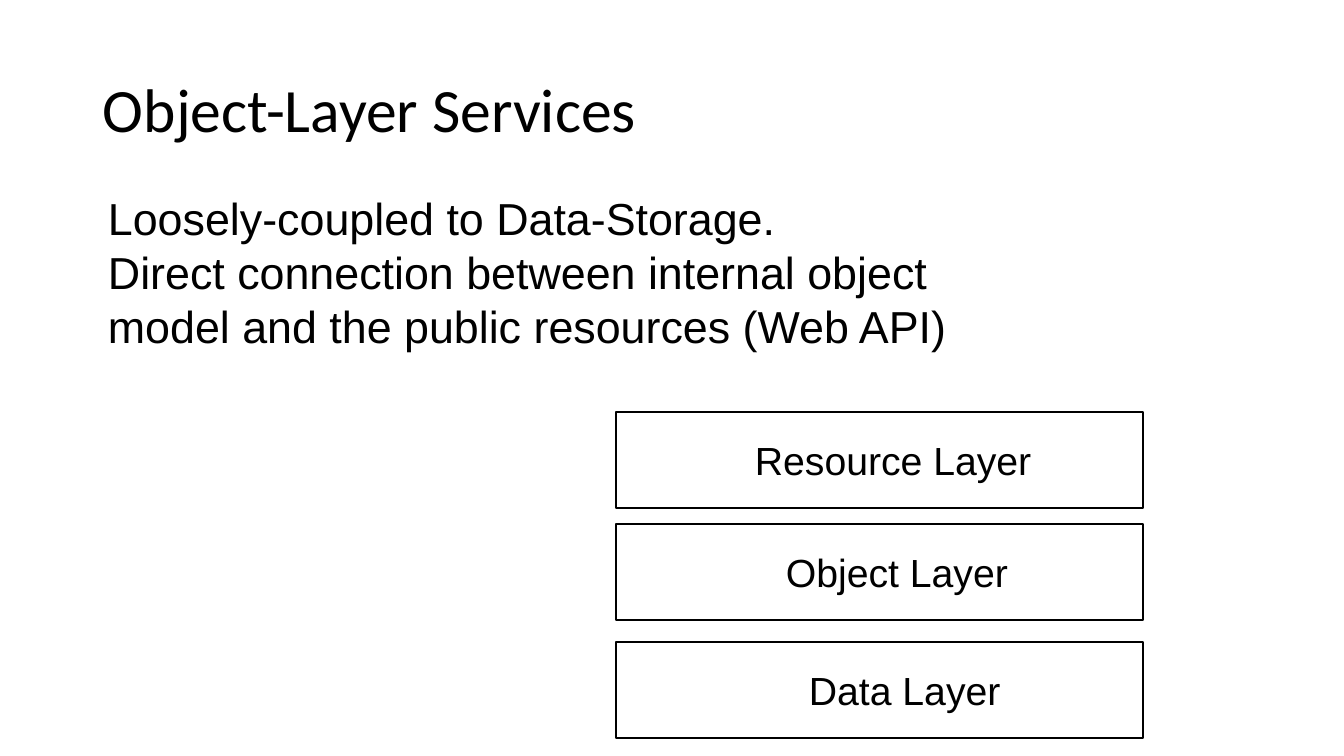
from pptx import Presentation
from pptx.dml.color import RGBColor
from pptx.enum.shapes import MSO_SHAPE
from pptx.enum.text import MSO_ANCHOR
from pptx.util import Pt

PX = 914400 / 100.8  # EMU per pixel


def rgb(color):
    return RGBColor.from_string(color)


def add_text(s, text, box, font, size, anchor=MSO_ANCHOR.TOP):
    tf = s.shapes.add_textbox(*[round(v * PX) for v in box]).text_frame
    tf.word_wrap = True
    tf.vertical_anchor = anchor
    p = tf.paragraphs[0]
    p.text = text
    p.font.name = font
    p.font.size = Pt(size)
    p.font.color.rgb = rgb("000000")
    return p


prs = Presentation()
prs.slide_width = round(1344 * PX)
prs.slide_height = round(756 * PX)
s = prs.slides.add_slide(prs.slide_layouts[6])

# Title
title = add_text(s, "Object-Layer Services", (93, 40, 1159, 146),
                 "Calibri", 44, MSO_ANCHOR.MIDDLE)
title.line_spacing = 0.9

# Description
add_text(s, "Loosely-coupled to Data-Storage.\n"
            "Direct connection between internal object model "
            "and the public resources (Web API)",
         (98, 186, 880, 173), "Arial", 32)

# Layer stack: name, box top, label left, label width
layers = [
    ("Resource Layer", 412, 745, 299),
    ("Object Layer", 524, 776, 299),
    ("Data Layer", 642, 799, 232),
]
for name, top, left, width in layers:
    sp = s.shapes.add_shape(MSO_SHAPE.RECTANGLE,
                            *[round(v * PX) for v in (616, top, 527, 96)])
    sp.shadow.inherit = False
    sp.fill.solid()
    sp.fill.fore_color.rgb = rgb("FFFFFF")
    sp.line.color.rgb = rgb("000000")
    sp.line.width = Pt(2)
    add_text(s, name, (left, top + 19, width, 57), "Arial", 28)

prs.save("out.pptx")
